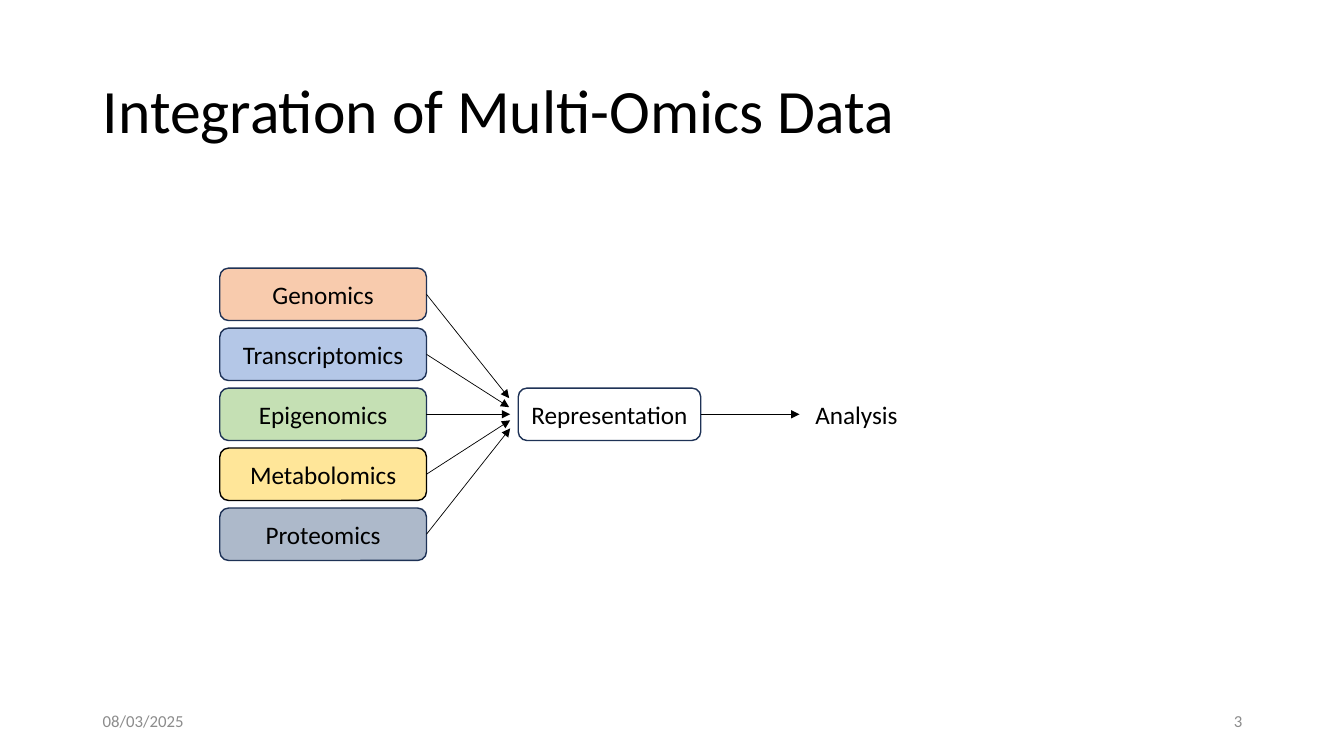
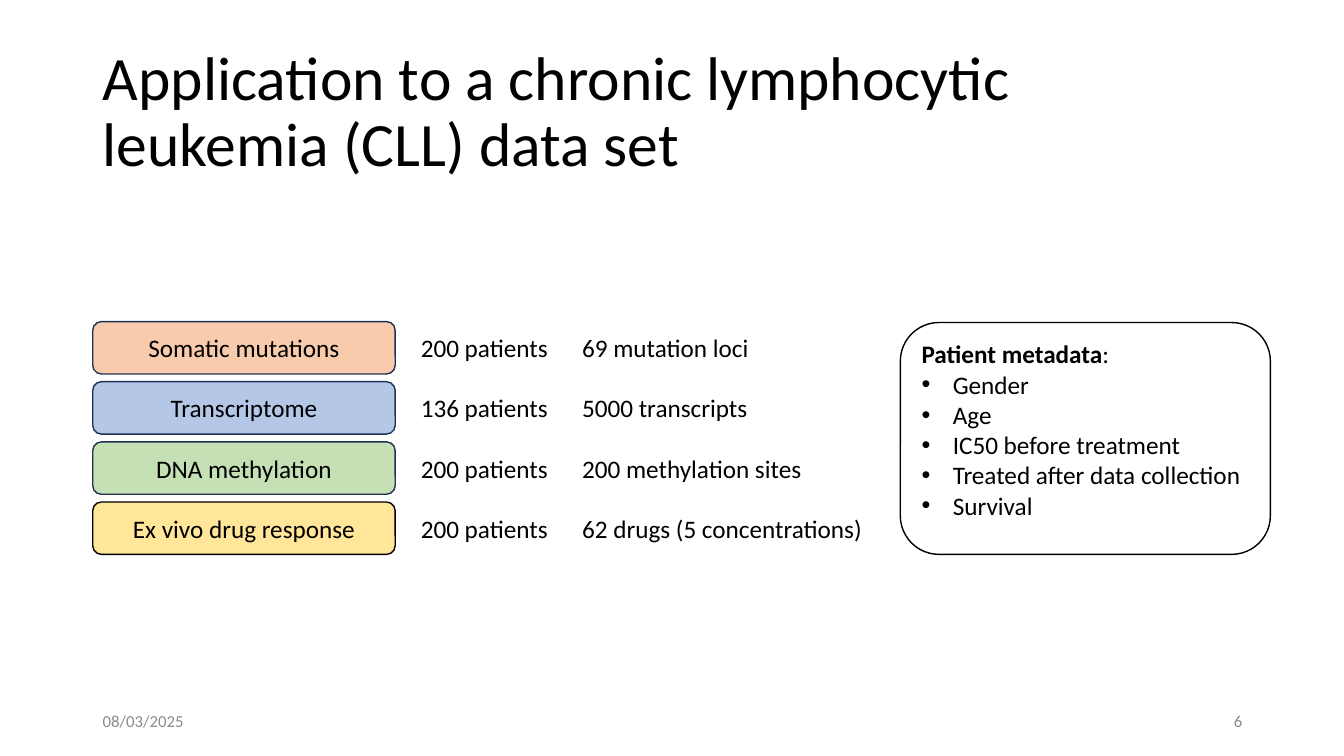
from dataclasses import dataclass

from lxml import etree
from pptx import Presentation
from pptx.dml.color import RGBColor
from pptx.enum.shapes import MSO_CONNECTOR, MSO_SHAPE
from pptx.enum.text import MSO_ANCHOR, MSO_AUTO_SIZE, PP_ALIGN
from pptx.oxml.ns import qn
from pptx.shapes.autoshape import Shape
from pptx.shapes.connector import Connector
from pptx.slide import Slide
from pptx.text.text import TextFrame
from pptx.util import Inches, Pt

ROUNDED = MSO_SHAPE.ROUNDED_RECTANGLE
STRAIGHT = MSO_CONNECTOR.STRAIGHT
LEFT, CENTER, RIGHT = PP_ALIGN.LEFT, PP_ALIGN.CENTER, PP_ALIGN.RIGHT
TOP, MIDDLE = MSO_ANCHOR.TOP, MSO_ANCHOR.MIDDLE
NO_FIT = MSO_AUTO_SIZE.NONE
LEFT_SIDE, RIGHT_SIDE = 1, 3
TITLE_ONLY = 5

FONT = "Calibri"
COLORS = {
    "black": "000000",
    "white": "FFFFFF",
    "navy": "1E3256",
    "gray": "8C8C8C",
    "orange": "F8CBAD",
    "blue": "B4C7E7",
    "green": "C5E0B4",
    "yellow": "FFE699",
    "slate": "ADB9CA",
}
MARGIN = 0.92
BOX_HEIGHT = 0.52
DATE = "08/03/2025"


@dataclass(frozen=True)
class Area:
    left: float
    top: float
    width: float
    height: float = BOX_HEIGHT

    @property
    def right(self) -> float:
        return self.left + self.width

    @property
    def middle(self) -> float:
        return self.top + self.height / 2

    def inches(self) -> tuple[Inches, Inches, Inches, Inches]:
        return Inches(self.left), Inches(self.top), Inches(self.width), Inches(self.height)


@dataclass(frozen=True)
class Layer:
    label: str
    fill: str
    outline: str = "navy"


@dataclass(frozen=True)
class DataRow:
    layer: Layer
    patients: str
    features: str


OMICS = [
    Layer("Genomics", "orange"),
    Layer("Transcriptomics", "blue"),
    Layer("Epigenomics", "green"),
    Layer("Metabolomics", "yellow", "black"),
    Layer("Proteomics", "slate"),
]
ARROW_TIPS = [(5.05, 3.95), (5.05, 4.04), (5.06, 4.11), (5.06, 4.17), (5.06, 4.25)]
DATA_ROWS = [
    DataRow(Layer("Somatic mutations", "orange"), "200 patients", "69 mutation loci"),
    DataRow(Layer("Transcriptome", "blue"), "136 patients", "5000 transcripts"),
    DataRow(Layer("DNA methylation", "green"), "200 patients", "200 methylation sites"),
    DataRow(
        Layer("Ex vivo drug response", "yellow", "black"),
        "200 patients",
        "62 drugs (5 concentrations)",
    ),
]
METADATA = ["Gender", "Age", "IC50 before treatment", "Treated after data collection", "Survival"]


def rgb(name: str) -> RGBColor:
    return RGBColor.from_string(COLORS[name])


def spread(first: float, last: float, count: int) -> list[float]:
    return [first + (last - first) * index / (count - 1) for index in range(count)]


def write_text(
    frame: TextFrame,
    lines: list[str],
    *,
    size: float = 18,
    color: str = "black",
    align: PP_ALIGN = LEFT,
    anchor: MSO_ANCHOR = MIDDLE,
    spacing: float = 1.0,
    bold_start: str = "",
    bullets_from: int | None = None,
) -> None:
    frame.word_wrap = True
    frame.auto_size = NO_FIT
    frame.vertical_anchor = anchor
    for index, line in enumerate(lines):
        paragraph = frame.paragraphs[0] if index == 0 else frame.add_paragraph()
        paragraph.alignment = align
        paragraph.line_spacing = spacing
        start = bold_start if index == 0 else ""
        for words, bold in ((start, True), (line, False)):
            if not words:
                continue
            span = paragraph.add_run()
            span.text = words
            span.font.name = FONT
            span.font.size = Pt(size)
            span.font.bold = bold
            span.font.color.rgb = rgb(color)
        if bullets_from is not None and index >= bullets_from:
            properties = paragraph._p.get_or_add_pPr()
            indent = Inches(0.31)
            properties.set("marL", str(indent))
            properties.set("indent", str(-indent))
            etree.SubElement(properties, qn("a:buFont"), typeface="Arial")
            etree.SubElement(properties, qn("a:buChar"), char="•")


def add_box(
    page: Slide, area: Area, *, fill: str | None = None, outline: str | None = None
) -> Shape:
    box = page.shapes.add_shape(ROUNDED, *area.inches())
    box.shadow.inherit = False
    if fill:
        box.fill.solid()
        box.fill.fore_color.rgb = rgb(fill)
    else:
        box.fill.background()
    if outline:
        box.line.color.rgb = rgb(outline)
        box.line.width = Pt(1)
    else:
        box.line.fill.background()
    return box


def add_label(
    page: Slide,
    area: Area,
    text: str,
    *,
    fill: str | None = None,
    outline: str | None = None,
    align: PP_ALIGN = CENTER,
) -> Shape:
    box = add_box(page, area, fill=fill, outline=outline)
    write_text(box.text_frame, [text], align=align)
    return box


def add_layer(page: Slide, area: Area, layer: Layer) -> Shape:
    return add_label(page, area, layer.label, fill=layer.fill, outline=layer.outline)


def add_arrow(page: Slide, start: tuple[float, float], end: tuple[float, float]) -> Connector:
    points = [Inches(value) for value in (*start, *end)]
    arrow = page.shapes.add_connector(STRAIGHT, *points)
    arrow.line.color.rgb = rgb("black")
    arrow.line.width = Pt(0.5)
    properties = arrow.element.spPr
    etree.SubElement(properties.find(qn("a:ln")), qn("a:tailEnd"), type="triangle")
    etree.SubElement(properties, qn("a:effectLst"))
    return arrow


def add_page(deck: Presentation, title: str, number: int) -> Slide:
    page = deck.slides.add_slide(deck.slide_layouts[TITLE_ONLY])
    heading = page.shapes.title
    heading.left, heading.top, heading.width, heading.height = Area(MARGIN, 0.4, 11.5, 1.45).inches()
    write_text(heading.text_frame, [title], size=44, spacing=0.9)
    for left, text, align in ((MARGIN, DATE, LEFT), (9.42, str(number), RIGHT)):
        footer = page.shapes.add_textbox(*Area(left, 6.95, 3, 0.4).inches())
        write_text(footer.text_frame, [text], size=12, color="gray", align=align)
    return page


def build_integration(deck: Presentation) -> None:
    page = add_page(deck, "Integration of Multi-Omics Data", 3)
    for layer, top, tip in zip(OMICS, spread(2.66, 5.04, len(OMICS)), ARROW_TIPS):
        area = Area(2.18, top, 2.05)
        box = add_layer(page, area, layer)
        add_arrow(page, (area.right, area.middle), tip).begin_connect(box, RIGHT_SIDE)
    source = Area(5.14, 3.85, 1.81)
    target = Area(7.93, 3.85, 1.13)
    representation = add_label(page, source, "Representation", outline="navy")
    analysis = add_label(page, target, "Analysis")
    arrow = add_arrow(page, (source.right, source.middle), (target.left, target.middle))
    arrow.begin_connect(representation, RIGHT_SIDE)
    arrow.end_connect(analysis, LEFT_SIDE)


def build_application(deck: Presentation) -> None:
    page = add_page(deck, "Application to a chronic lymphocytic leukemia (CLL) data set", 6)
    for row, top in zip(DATA_ROWS, spread(3.19, 4.98, len(DATA_ROWS))):
        add_layer(page, Area(MARGIN, top, 3), row.layer)
        add_label(page, Area(4.05, top, 1.6), row.patients, align=LEFT)
        add_label(page, Area(5.65, top, 3.11), row.features, align=LEFT)
    panel = add_box(page, Area(8.93, 3.2, 3.67, 2.3), fill="white", outline="black")
    write_text(
        panel.text_frame,
        [":", *METADATA],
        anchor=TOP,
        bold_start="Patient metadata",
        bullets_from=1,
    )


def main() -> None:
    deck = Presentation()
    deck.slide_width = Inches(13.33)
    deck.slide_height = Inches(7.5)
    build_integration(deck)
    build_application(deck)
    deck.save("out.pptx")


if __name__ == "__main__":
    main()
